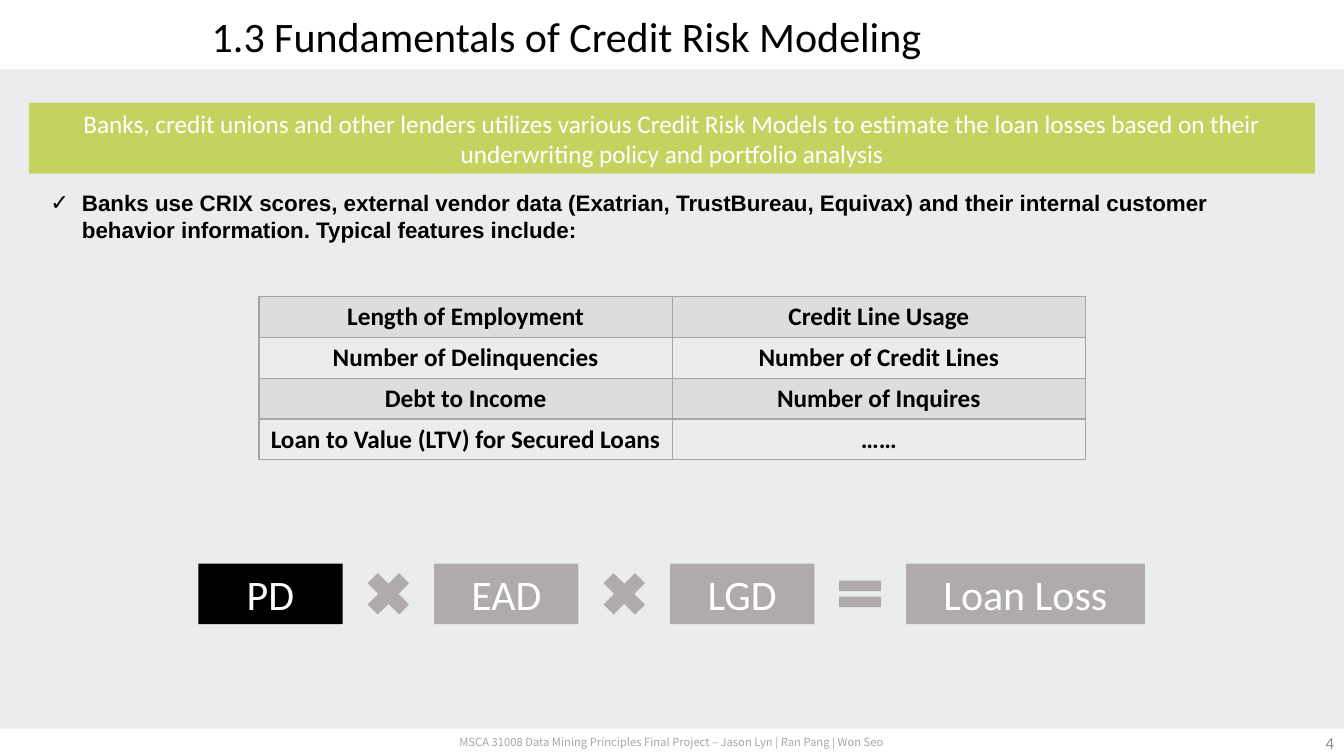
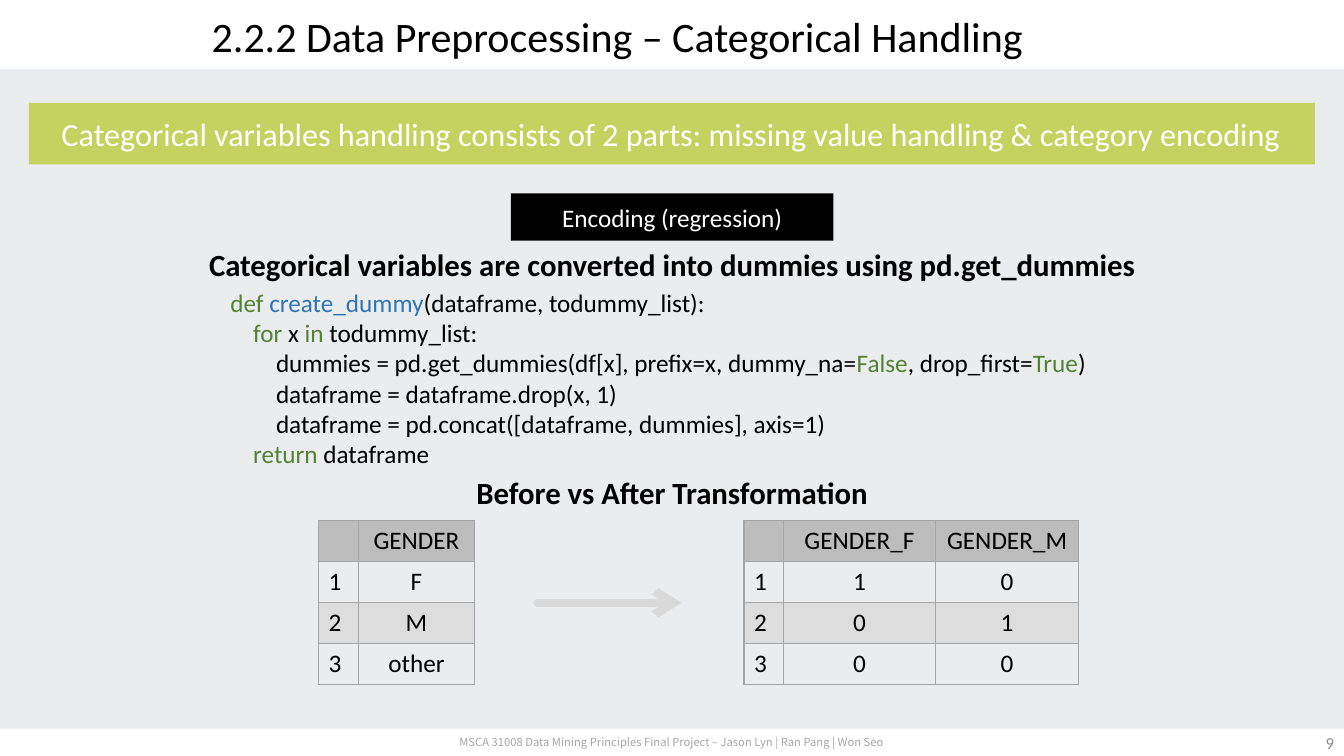
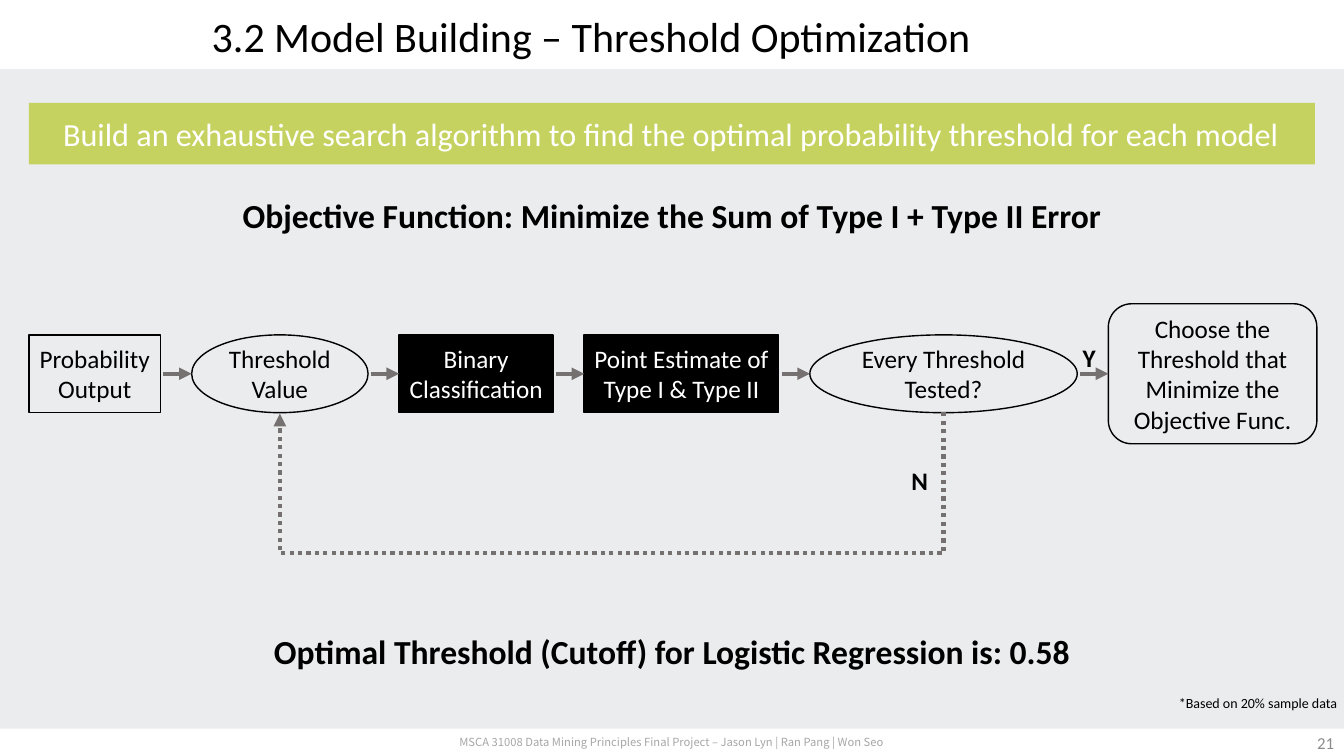
from itertools import pairwise

from lxml.etree import SubElement
from pptx import Presentation
from pptx.dml.color import RGBColor
from pptx.enum.dml import MSO_LINE
from pptx.enum.shapes import MSO_CONNECTOR as LINK, MSO_SHAPE as SHAPE
from pptx.enum.text import MSO_ANCHOR as ANCHOR, MSO_AUTO_SIZE, PP_ALIGN as ALIGN
from pptx.oxml.ns import qn
from pptx.util import Pt

RGB = RGBColor.from_string


class Theme:
    font = "Calibri"
    list_font = "Arial"
    footer_font = "Noto Sans CJK SC"
    black = RGB("000000")
    white = RGB("FFFFFF")
    page = RGB("EBECED")
    banner = RGB("C6D260")
    muted = RGB("AFABAB")
    grid = RGB("A5A5A5")
    footer = RGB("A6A6A6")
    number = RGB("8C8C8C")
    arrow = RGB("767171")
    pale = RGB("D9D9D9")
    keyword = RGB("548235")
    function = RGB("2E75B6")
    title_size = 30
    headline_size = 24
    banner_size = 23
    subhead_size = 22
    body_size = 18
    list_size = 16
    number_size = 12
    note_size = 10
    footer_size = 8


T = Theme


def write(tf, text, size=T.body_size, color=T.black, bold=False, font=T.font,
          align=ALIGN.CENTER, anchor=ANCHOR.TOP, wrap=True, margin=7.2):
    tf.word_wrap = wrap
    tf.auto_size = MSO_AUTO_SIZE.NONE
    tf.vertical_anchor = anchor
    tf.margin_left = tf.margin_right = Pt(margin)
    tf.margin_top = tf.margin_bottom = Pt(min(margin, 3.6))
    lines = text.split("\n") if isinstance(text, str) else text
    for i, line in enumerate(lines):
        p = tf.add_paragraph() if i else tf.paragraphs[0]
        p.alignment = align
        p.space_before = Pt(0)
        for words, tint in [(line, color)] if isinstance(line, str) else line:
            r = p.add_run()
            r.text = words
            r.font.name = font
            r.font.size = Pt(size)
            r.font.bold = bold
            r.font.color.rgb = tint


def box(s, x, y, w, h, text="", shape=None, fill=None, line=None, **fmt):
    frame = Pt(x), Pt(y), Pt(w), Pt(h)
    if shape is None:
        sp = s.shapes.add_textbox(*frame)
    else:
        sp = s.shapes.add_shape(shape, *frame)
        sp.shadow.inherit = False
        fmt.setdefault("anchor", ANCHOR.MIDDLE)
        if fill is None:
            sp.fill.background()
        else:
            sp.fill.solid()
            sp.fill.fore_color.rgb = fill
        if line is None:
            sp.line.fill.background()
        else:
            sp.line.color.rgb = line
            sp.line.width = Pt(1)
    if text:
        write(sp.text_frame, text, **fmt)
    return sp


prs = Presentation()
W, H = 960, 540
prs.slide_width, prs.slide_height = Pt(W), Pt(H)
master = prs.slide_master
master.background.fill.solid()
master.background.fill.fore_color.rgb = T.page

pages = [
    (1, "1.3 Fundamentals of Credit Risk Modeling", "4", 50.5, T.body_size,
     "Banks, credit unions and other lenders utilizes various Credit Risk Models to estimate "
     "the loan losses based on their underwriting policy and portfolio analysis"),
    (5, "2.2.2 Data Preprocessing – Categorical Handling", "9", 44, T.banner_size,
     "Categorical variables handling consists of 2 parts: missing value handling & category encoding"),
    (5, "3.2 Model Building – Threshold Optimization", "21", 44, T.banner_size,
     "Build an exhaustive search algorithm to find the optimal probability threshold for each model"),
]
for layout, title, number, height, size, message in pages:
    s = prs.slides.add_slide(prs.slide_layouts[layout])
    sp = s.shapes.title
    sp.left, sp.top, sp.width, sp.height = Pt(0), Pt(0), Pt(W), Pt(50.4)
    write(sp.text_frame, title, size=T.title_size, align=ALIGN.LEFT, anchor=ANCHOR.MIDDLE)
    sp.text_frame.margin_left = Pt(151.2)
    box(s, 20.7, 73.5, 918.6, height, message, SHAPE.RECTANGLE, T.banner,
        size=size, color=T.white)
    box(s, 744, 516, 216, 29, number, size=T.number_size, color=T.number,
        align=ALIGN.RIGHT, anchor=ANCHOR.MIDDLE)
risk, encoding, threshold = prs.slides

bands = [
    box(risk, 0, 0, W, 49.5, shape=SHAPE.RECTANGLE, fill=T.white),
    box(risk, 0, 520.5, W, 19.5, shape=SHAPE.RECTANGLE, fill=T.white),
    box(risk, 246, 520.5, 468, 19.5,
        "MSCA 31008 Data Mining Principles Final Project – Jason Lyn | Ran Pang | Won Seo",
        size=T.footer_size, color=T.footer, font=T.footer_font, anchor=ANCHOR.MIDDLE, margin=5),
]
for shape_id, band in enumerate(bands, 20):
    band.element.nvSpPr.cNvPr.set("id", str(shape_id))
    master.shapes.element.append(band.element)

body = risk.placeholders[1]
body.left, body.top, body.width, body.height = Pt(28.8), Pt(131.8), Pt(903), Pt(46)
write(body.text_frame,
      "Banks use CRIX scores, external vendor data (Exatrian, TrustBureau, Equivax) and their "
      "internal customer behavior information. Typical features include:",
      size=T.list_size, bold=True, font=T.list_font, align=ALIGN.LEFT)
pPr = body.text_frame.paragraphs[0]._p.get_or_add_pPr()
pPr.set("marL", str(Pt(22.5)))
pPr.set("indent", str(Pt(-22.5)))
SubElement(pPr, qn("a:buFont")).set("typeface", T.list_font)
SubElement(pPr, qn("a:buChar")).set("char", "✓")

factors = [
    ("PD", 103, T.black, SHAPE.MATH_MULTIPLY, 43.2, 43.2),
    ("EAD", 103, T.muted, SHAPE.MATH_MULTIPLY, 43.2, 43.2),
    ("LGD", 103, T.muted, SHAPE.MATH_EQUAL, 41, 32.4),
    ("Loan Loss", 170.6, T.muted, None, 0, 0),
]
x, mid, gap = 141.7, 424.2, 65.5
for name, w, fill, sign, sign_w, sign_h in factors:
    box(risk, x, mid - 21.6, w, 43.2, name, SHAPE.RECTANGLE, fill,
        size=T.title_size, color=T.white)
    x += w + gap
    if sign:
        box(risk, x - (gap + sign_w) / 2, mid - sign_h / 2, sign_w, sign_h,
            shape=sign, fill=T.muted)

box(encoding, 365, 138.2, 230.4, 33.8, "Encoding (regression)", SHAPE.RECTANGLE, T.black,
    color=T.white, margin=0)
for y, text in [(172, "Categorical variables are converted into dummies using pd.get_dummies"),
                (334.8, "Before vs After Transformation")]:
    box(encoding, 134.6, y, 691, 36, text, size=T.subhead_size, bold=True, margin=5)

code = [
    (0, [("def ", T.keyword), ("create_dummy", T.function),
         ("(dataframe, todummy_list):", T.black)]),
    (1, [("for", T.keyword), (" x ", T.black), ("in", T.keyword), (" todummy_list:", T.black)]),
    (2, [("dummies = pd.get_dummies(df[x], prefix=x, dummy_na=", T.black), ("False", T.keyword),
         (", drop_first=", T.black), ("True", T.keyword), (")", T.black)]),
    (2, "dataframe = dataframe.drop(x, 1)"),
    (2, "dataframe = pd.concat([dataframe, dummies], axis=1)"),
    (1, [("return", T.keyword), (" dataframe", T.black)]),
]
sp = box(encoding, 157.5, 201.6, 645, 138, [line for _, line in code], align=ALIGN.LEFT)
for p, (depth, _) in zip(sp.text_frame.paragraphs, code):
    p._p.get_or_add_pPr().set("marL", str(Pt(16.3 * depth)))

tables = [
    (risk, 185, 211.7, [295.2, 295.2], T.grid, True, [
        ("Length of Employment", "Credit Line Usage"),
        ("Number of Delinquencies", "Number of Credit Lines"),
        ("Debt to Income", "Number of Inquires"),
        ("Loan to Value (LTV) for Secured Loans", "……")]),
    (encoding, 227.5, 371.9, [28.5, 83], T.black, False, [
        ("", "GENDER"), ("1", "F"), ("2", "M"), ("3", "other")]),
    (encoding, 531.4, 371.9, [28.2, 108.7, 102.2], T.black, False, [
        ("", "GENDER_F", "GENDER_M"), ("1", "1", "0"), ("2", "0", "1"), ("3", "0", "0")]),
]
row_h = 29.2
for s, x, y, widths, head, bold, rows in tables:
    table = s.shapes.add_table(len(rows), len(widths), Pt(x), Pt(y),
                               Pt(sum(widths)), Pt(row_h * len(rows))).table
    table.first_row = table.horz_banding = False
    table._tbl.tblPr.find(qn("a:tableStyleId")).text = "{2D5ABB26-0587-4C30-8999-92F81FD0307C}"
    for column, w in zip(table.columns, widths):
        column.width = Pt(w)
    for i, row in enumerate(rows):
        table.rows[i].height = Pt(row_h)
        for j, text in enumerate(row):
            cell = table.cell(i, j)
            write(cell.text_frame, text, bold=bold,
                  align=ALIGN.CENTER if bold or j else ALIGN.LEFT)
            tcPr = cell._tc.get_or_add_tcPr()
            for side in ("a:lnL", "a:lnR", "a:lnT", "a:lnB"):
                ln = SubElement(tcPr, qn(side), w=str(Pt(1)))
                SubElement(SubElement(ln, qn("a:solidFill")), qn("a:srgbClr"), val=str(T.grid))
            if i % 2:
                cell.fill.background()
            else:
                cell.fill.solid()
                cell.fill.fore_color.rgb = T.grid if i else head
                tint = tcPr.find(qn("a:solidFill"))[0]
                SubElement(tint, qn("a:alpha"), val="20000")

for y, text in [(136, "Objective Function: Minimize the Sum of Type I + Type II Error"),
                (447.1, "Optimal Threshold (Cutoff) for Logistic Regression is: 0.58")]:
    box(threshold, 0, y, W, 36, text, size=T.headline_size, bold=True)
box(threshold, 0, 492.5, W, 21.6, "*Based on 20% sample data", size=T.note_size,
    align=ALIGN.RIGHT, margin=5)

steps = [
    ("Probability\nOutput", SHAPE.RECTANGLE, 94, 55.6, None),
    ("Threshold\nValue", SHAPE.OVAL, 126, 55.6, None),
    ("Binary\nClassification", SHAPE.RECTANGLE, 110, 55.6, T.black),
    ("Point Estimate of\nType I & Type II", SHAPE.RECTANGLE, 139, 55.6, T.black),
    ("Every Threshold Tested?", SHAPE.OVAL, 191, 55.6, None),
    ("Choose the Threshold that Minimize the Objective Func.",
     SHAPE.ROUNDED_RECTANGLE, 149, 100, None),
]
x, mid, gap = 20.7, 267, 22.2
links = [(encoding, LINK.STRAIGHT, 384, 430.6, 486.7, 430.6, T.pale, 6, "arrow")]
spans = []
for text, shape, w, h, fill in steps:
    box(threshold, x, mid - h / 2, w, h, text, shape, fill, T.black,
        color=T.white if fill else T.black, margin=5)
    spans.append((x, x + w))
    x += w + gap
for x, y, text in [(766, 241.2, "Y"), (645, 329, "N")]:
    box(threshold, x, y, 24, 29, text, bold=True, wrap=False)

for (_, right), (left, _) in pairwise(spans):
    links.append((threshold, LINK.STRAIGHT, right + 2, mid, left, mid, T.arrow, 3, "triangle"))
retry, test = sum(spans[1]) / 2, sum(spans[4]) / 2
center_x, center_y, reach = (retry + test) / 2, mid + 28, (test - retry) / 2
links.append((threshold, LINK.ELBOW, center_x - 0.5, center_y - reach,
              center_x + 0.5, center_y + reach, T.arrow, 3, "triangle"))
for s, kind, x1, y1, x2, y2, color, width, head in links:
    link = s.shapes.add_connector(kind, Pt(x1), Pt(y1), Pt(x2), Pt(y2))
    link.line.color.rgb = color
    link.line.width = Pt(width)
    spPr = link.element.spPr
    ln = link.get_or_add_ln()
    if kind == LINK.ELBOW:
        link.line.dash_style = MSO_LINE.ROUND_DOT
        spPr.find(qn("a:xfrm")).set("rot", "5400000")
        guides = spPr.find(qn("a:prstGeom")).find(qn("a:avLst"))
        SubElement(guides, qn("a:gd"), name="adj1", fmla="val 10150000")
    if head == "arrow":
        ln.set("cap", "rnd")
    SubElement(ln, qn("a:tailEnd"), type=head)
    SubElement(spPr, qn("a:effectLst"))

prs.save("out.pptx")
